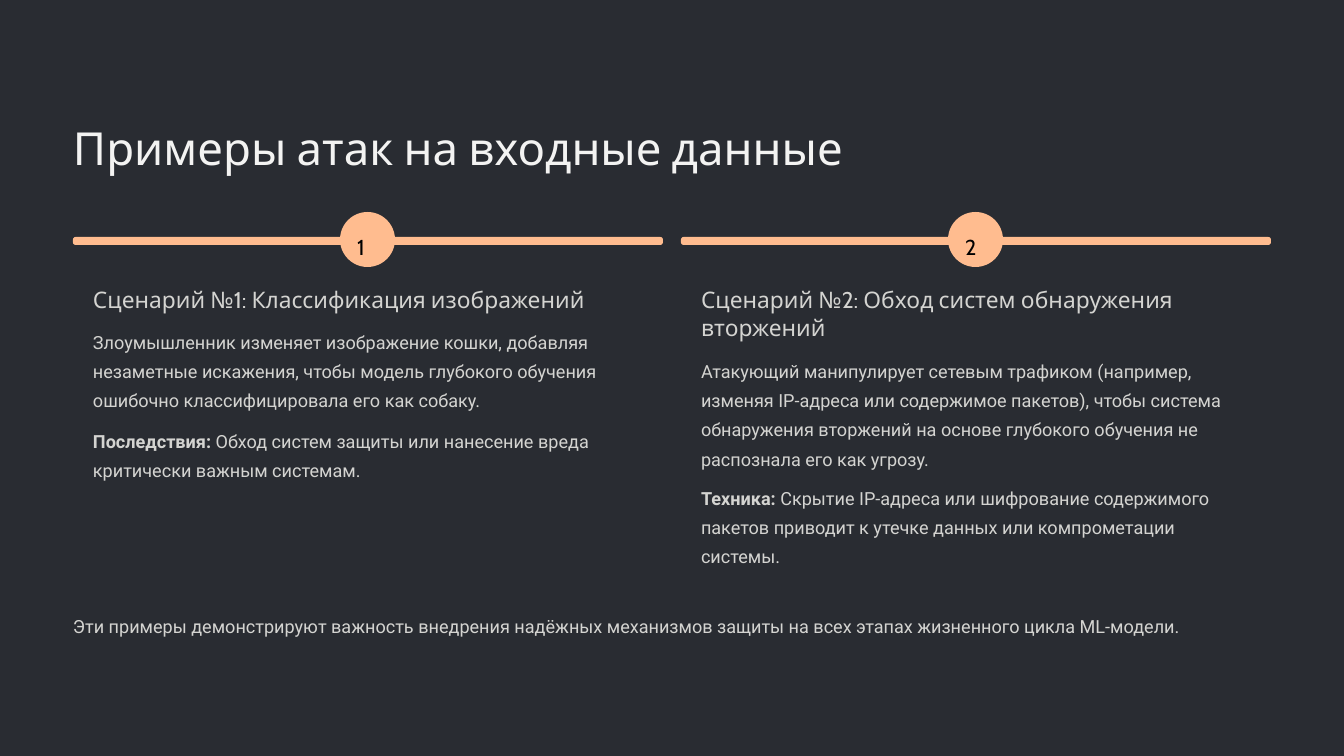
from pptx import Presentation
from pptx.dml.color import RGBColor
from pptx.enum.shapes import MSO_SHAPE
from pptx.enum.text import MSO_ANCHOR, PP_ALIGN
from pptx.util import Emu, Pt

EMU_PER_PX = 914400 / 84
BACKGROUND, ACCENT = "292C32", "FFBC8F"
TITLE_COLOR, TEXT_COLOR, NUMBER_COLOR = "F3F3F2", "D4D4D1", "000000"
HEADING_FONT, BODY_FONT = "Cabin", "Roboto"

MARGIN = 73
CONTENT_WIDTH = 1198
COLUMN_STEP = 608
COLUMN_WIDTH = 590
TEXT_INDENT = 20
TEXT_WIDTH = 549

# number, heading, body top, body, note top, note label, note
SCENARIOS = [
    ("1", "Сценарий №1: Классификация изображений",
     324, "Злоумышленник изменяет изображение кошки, добавляя незаметные "
          "искажения, чтобы модель глубокого обучения ошибочно "
          "классифицировала его как собаку.",
     423, "Последствия:",
     " Обход систем защиты или нанесение вреда критически важным системам."),
    ("2", "Сценарий №2: Обход систем обнаружения вторжений",
     353, "Атакующий манипулирует сетевым трафиком (например, изменяя IP-адреса "
          "или содержимое пакетов), чтобы система обнаружения вторжений на "
          "основе глубокого обучения не распознала его как угрозу.",
     480, "Техника:",
     " Скрытие IP-адреса или шифрование содержимого пакетов приводит к утечке "
     "данных или компрометации системы."),
]


def px(length):
    return Emu(round(length * EMU_PER_PX))


def color(value):
    return RGBColor.from_string(value)


class SlideBuilder:
    def __init__(self, presentation):
        self.slide = presentation.slides.add_slide(presentation.slide_layouts[6])
        fill = self.slide.background.fill
        fill.solid()
        fill.fore_color.rgb = color(BACKGROUND)

    def rounded(self, left, top, width, height, radius):
        """Add an accent shape; radius is a share of its shorter side."""
        shape = self.slide.shapes.add_shape(
            MSO_SHAPE.ROUNDED_RECTANGLE, px(left), px(top), px(width), px(height))
        shape.adjustments[0] = radius
        shape.shadow.inherit = False
        shape.fill.solid()
        shape.fill.fore_color.rgb = color(ACCENT)
        shape.line.fill.background()

    def text(self, left, top, width, height, content, size, spacing,
             font=BODY_FONT, fill=TEXT_COLOR, label=""):
        """Add a paragraph, opened by a bold label if one is given."""
        box = self.slide.shapes.add_textbox(px(left), px(top), px(width), px(height))
        frame = box.text_frame
        frame.word_wrap = True
        frame.vertical_anchor = MSO_ANCHOR.TOP
        frame.margin_left = frame.margin_top = 0
        frame.margin_right = frame.margin_bottom = 0
        paragraph = frame.paragraphs[0]
        paragraph.alignment = PP_ALIGN.LEFT
        paragraph.line_spacing = Pt(spacing)
        paragraph.font.name = font
        paragraph.font.size = Pt(size)
        paragraph.font.color.rgb = color(fill)
        if label:
            run = paragraph.add_run()
            run.text = label
            run.font.bold = True
        paragraph.add_run().text = content

    def scenario(self, left, number, heading, body_top, body, note_top, label, note):
        text_left = left + TEXT_INDENT
        self.rounded(left, 237, COLUMN_WIDTH, 8, 0.33)
        self.rounded(left + 267, 212, 55, 55, 0.5)
        self.text(left + 284, 225, 22, 28, number, 18.5, 30,
                  HEADING_FONT, NUMBER_COLOR)
        self.text(text_left, 285, TEXT_WIDTH, body_top - 296, heading, 19.5, 24,
                  HEADING_FONT)
        self.text(text_left, body_top, TEXT_WIDTH, note_top - body_top - 11,
                  body, 15.5, 25)
        self.text(text_left, note_top, TEXT_WIDTH, 87, note, 15.5, 25, label=label)


def main():
    presentation = Presentation()
    presentation.slide_width = px(1344)
    presentation.slide_height = px(756)
    builder = SlideBuilder(presentation)
    builder.text(MARGIN, 118, CONTENT_WIDTH, 57, "Примеры атак на входные данные",
                 39, 48.5, HEADING_FONT, TITLE_COLOR)
    for index, scenario in enumerate(SCENARIOS):
        builder.scenario(MARGIN + index * COLUMN_STEP, *scenario)
    builder.text(MARGIN, 608, CONTENT_WIDTH, 29,
                 "Эти примеры демонстрируют важность внедрения надёжных механизмов "
                 "защиты на всех этапах жизненного цикла ML-модели.", 15.5, 25)
    presentation.save("out.pptx")


if __name__ == "__main__":
    main()
